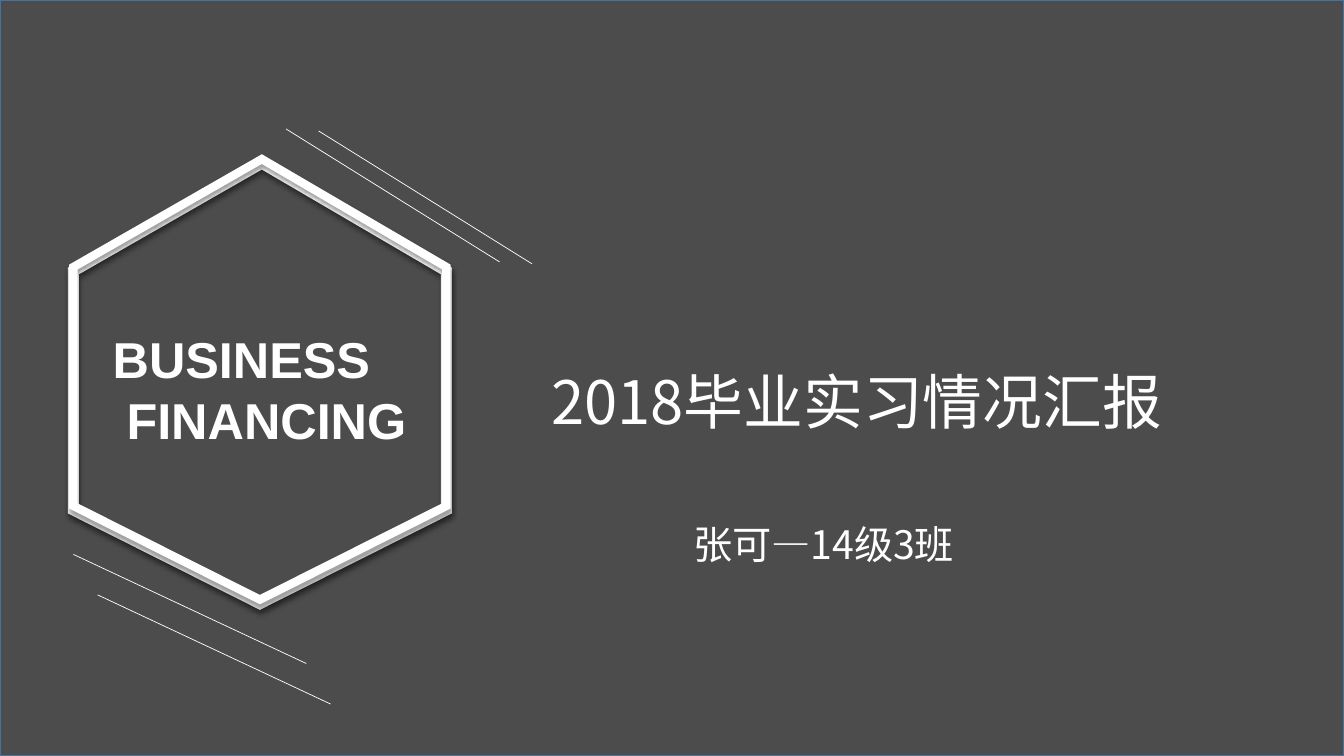
import pptx
import pptx.util
import pptx.dml.color
import pptx.enum.shapes
import pptx.enum.text
import pptx.oxml
import pptx.oxml.ns
from lxml import etree

Cm, Pt = pptx.util.Cm, pptx.util.Pt
qn = pptx.oxml.ns.qn

HUES = {"veil": "000000", "edge": "43739E", "white": "FFFFFF"}
SIZE = (33.87, 19.05)
HEX = [(6.6, 4.11), (11.25, 6.83), (11.25, 12.85), (6.55, 15.21), (1.85, 12.85), (1.85, 6.83)]
RINGS = [{"lift": 0, "width": 8}, {"lift": 0.1, "width": 6}]
RAYS = [
    {"span": (5.38, 3.35), "starts": [(7.21, 3.25), (8.03, 3.3)]},
    {"span": (5.87, 2.75), "starts": [(1.85, 13.97), (2.46, 14.99)]},
]
LATIN, HAN = "Arial", "Noto Sans CJK SC"
TEXTS = [
    {"box": (13.64, 9.07, 17.83, 2.08), "lines": [("2018毕业实习情况汇报", 0)], "wrap": True,
     "font": {"name": HAN, "size": Pt(42.7), "bold": False}},
    {"box": (2.59, 8.15, 8.0, 3.33), "lines": [("BUSINESS", 0), ("FINANCING", 0.35)], "wrap": False,
     "font": {"name": LATIN, "size": Pt(36), "bold": True}},
    {"box": (17.22, 12.98, 9.04, 1.45), "lines": [("张可—14级3班", 0)], "wrap": True,
     "font": {"name": HAN, "size": Pt(28), "bold": False}},
]
SHADE = {"blurRad": Pt(4), "dist": Pt(3), "dir": 90 * 60000, "algn": "t", "rotWithShape": 0}


def hue(name):
    return pptx.dml.color.RGBColor.from_string(HUES[name])


def add(node, tag, **attrs):
    return etree.SubElement(node, qn(tag), {key: str(val) for key, val in attrs.items()})


def stroke(shape, name, width):
    shape.line.color.rgb = hue(name)
    shape.line.width = Pt(width)


def add_veil(slide):
    veil = slide.shapes.add_shape(
        pptx.enum.shapes.MSO_SHAPE.RECTANGLE, 0, 0, *map(Cm, SIZE))
    veil.shadow.inherit = False
    veil.fill.solid()
    veil.fill.fore_color.rgb = hue("veil")
    add(veil.element.spPr.find(qn("a:solidFill"))[0], "a:alpha", val=70000)
    stroke(veil, "edge", 1)


def add_ring(group, lift, width):
    dots = [(Cm(x), Cm(y - lift)) for x, y in HEX]
    path = group.shapes.build_freeform(*dots[0], scale=1.0)
    path.add_line_segments(dots[1:], close=True)
    ring = path.convert_to_shape()
    ring.shadow.inherit = False
    ring.fill.background()
    stroke(ring, "white", width)
    props = ring.element.spPr
    add(props.find(qn("a:ln")), "a:miter", lim=800000)
    shade = add(props.find(qn("a:effectLst")), "a:outerShdw", **SHADE)
    add(add(shade, "a:srgbClr", val=HUES["veil"]), "a:alpha", val=40000)


def add_ray(slide, start, span):
    ends = [a + b for a, b in zip(start, span)]
    ray = slide.shapes.add_connector(
        pptx.enum.shapes.MSO_CONNECTOR.STRAIGHT, *map(Cm, (*start, *ends)))
    stroke(ray, "white", 0.5)
    add(ray.element.spPr, "a:effectLst")


def add_text(slide, box, lines, wrap, font):
    frame = slide.shapes.add_textbox(*map(Cm, box)).text_frame
    frame.word_wrap = wrap
    frame.auto_size = pptx.enum.text.MSO_AUTO_SIZE.SHAPE_TO_FIT_TEXT
    for i, (words, indent) in enumerate(lines):
        para = frame.add_paragraph() if i else frame.paragraphs[0]
        if indent:
            para._p.get_or_add_pPr().set("marL", str(Cm(indent)))
        run = para.add_run()
        run.text = words
        for key, val in font.items():
            setattr(run.font, key, val)
        run.font.color.rgb = hue("white")
        add(run._r.rPr, "a:ea", typeface=font["name"])


def main():
    deck = pptx.Presentation()
    deck.slide_width, deck.slide_height = map(Cm, SIZE)
    slide = deck.slides.add_slide(deck.slide_layouts[6])
    slide.background.fill.solid()
    slide.background.fill.fore_color.rgb = hue("white")
    add_veil(slide)
    group = slide.shapes.add_group_shape()
    for ring in RINGS:
        add_ring(group, **ring)
    for pair in RAYS:
        for start in pair["starts"]:
            add_ray(slide, start, pair["span"])
    for text in TEXTS:
        add_text(slide, **text)
    deck.save("out.pptx")


if __name__ == "__main__":
    main()
